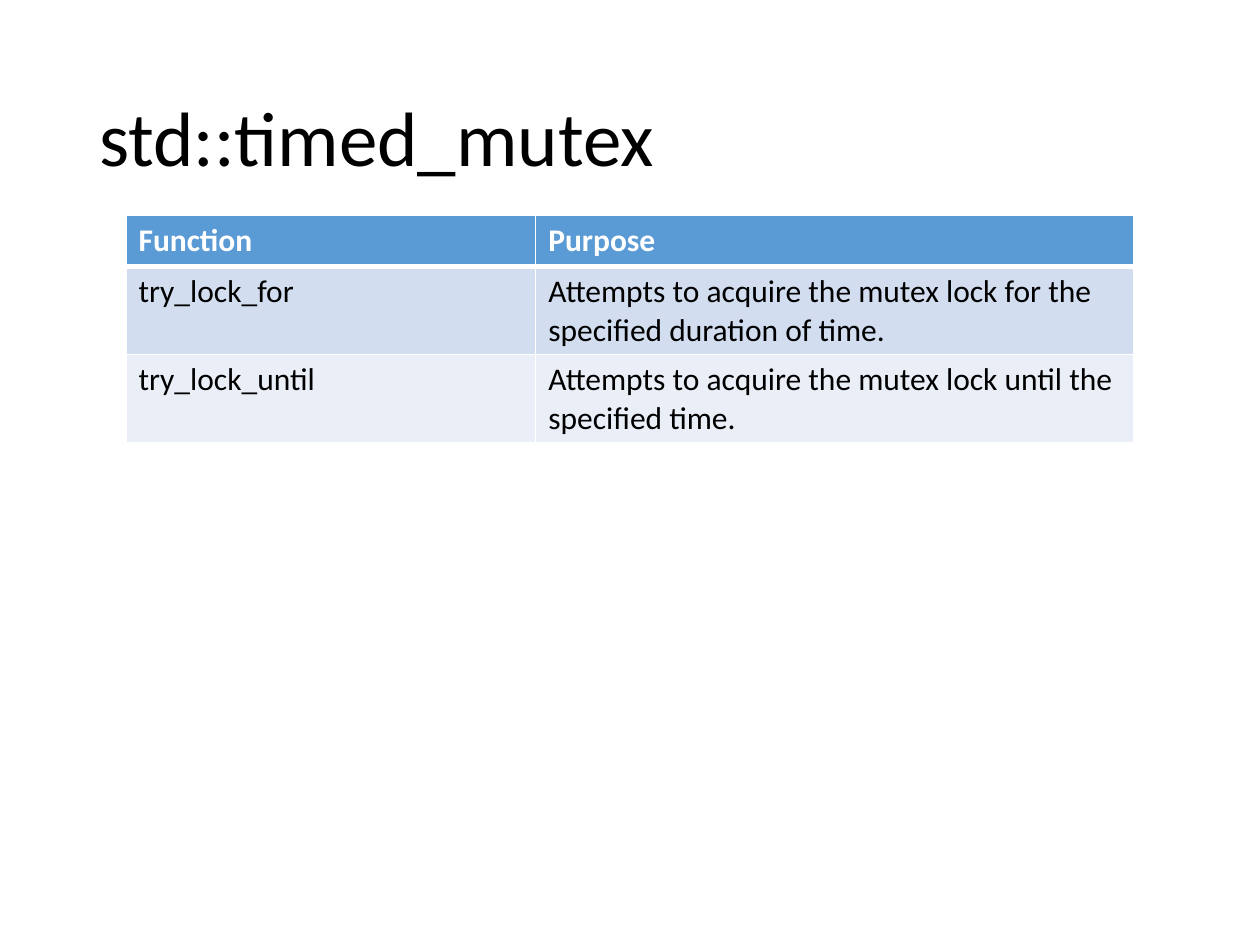
from lxml.etree import SubElement
from pptx import Presentation
from pptx.dml.color import RGBColor
from pptx.enum.text import MSO_ANCHOR
from pptx.oxml.ns import qn
from pptx.util import Cm, Pt

COLORS = {"text": "000000", "white": "FFFFFF", "header": "5B9BD5",
          "odd": "D2DEEF", "even": "EAEFF7"}
FONT = "Calibri"


def set_font(p, size, color, bold=False):
    p.font.name = FONT
    p.font.size = Pt(size)
    p.font.bold = bold
    p.font.color.rgb = RGBColor.from_string(COLORS[color])


def add_border(cell, side, width):
    ln = SubElement(cell._tc.get_or_add_tcPr(), qn(f"a:ln{side}"), w=str(Pt(width)))
    fill = SubElement(ln, qn("a:solidFill"))
    SubElement(fill, qn("a:srgbClr"), val=COLORS["white"])


prs = Presentation()
prs.slide_width, prs.slide_height = Cm(25.4), Cm(19.05)
s = prs.slides.add_slide(prs.slide_layouts[6])

# Title
tf = s.shapes.add_textbox(Cm(1.75), Cm(1.02), Cm(21.9), Cm(3.68)).text_frame
tf.word_wrap = True
tf.vertical_anchor = MSO_ANCHOR.MIDDLE
p = tf.paragraphs[0]
p.text = "std::timed_mutex"
p.line_spacing = 0.9
set_font(p, 44, "text")

# Table of functions
rows = [
    ("Function", "Purpose"),
    ("try_lock_for",
     "Attempts to acquire the mutex lock for the specified duration of time."),
    ("try_lock_until",
     "Attempts to acquire the mutex lock until the specified time."),
]
row_fills = ["header", "odd", "even"]
row_heights = [1.03, 1.78, 1.78]
col_widths = [8.26, 12.06]

table = s.shapes.add_table(len(rows), len(col_widths), Cm(2.54), Cm(4.34),
                           Cm(sum(col_widths)), Cm(sum(row_heights))).table
for col, width in zip(table.columns, col_widths):
    col.width = Cm(width)

for i, texts in enumerate(rows):
    table.rows[i].height = Cm(row_heights[i])
    is_header = i == 0
    for j, text in enumerate(texts):
        cell = table.cell(i, j)
        # A thick rule separates the header from the body
        for side in "LRTB":
            thick = (is_header and side == "B") or (i == 1 and side == "T")
            add_border(cell, side, 3 if thick else 1)
        cell.fill.solid()
        cell.fill.fore_color.rgb = RGBColor.from_string(COLORS[row_fills[i]])
        p = cell.text_frame.paragraphs[0]
        p.text = text
        set_font(p, 18, "white" if is_header else "text", bold=is_header)

prs.save("out.pptx")
